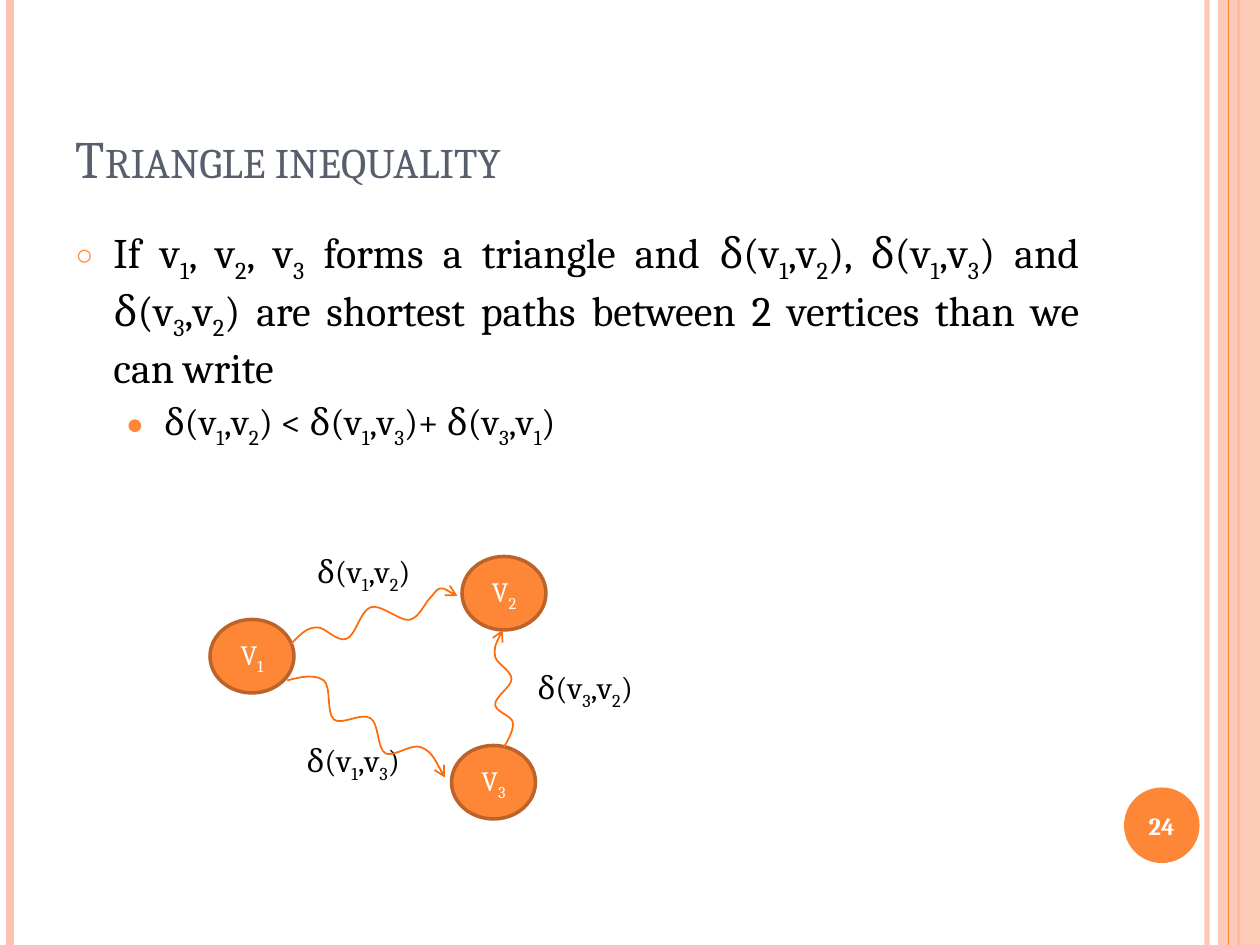
from dataclasses import dataclass

from lxml import etree
from pptx import Presentation
from pptx import util as u
from pptx.dml.color import RGBColor
from pptx.enum import shapes, text
from pptx.oxml.ns import qn

ORANGE = RGBColor(0xFE, 0x86, 0x37)
PEACH = RGBColor(0xFE, 0xC3, 0xAE)
RUST = RGBColor(0xBC, 0x63, 0x29)
PATH_ORANGE = RGBColor(0xFF, 0x6B, 0x0A)
SLATE = RGBColor(0x57, 0x5F, 0x6D)
BLACK = RGBColor(0, 0, 0)
WHITE = RGBColor(0xFF, 0xFF, 0xFF)
FONT = "Cambria"
CELL = u.Inches(1) / 12  # the slide is 120 columns by 90 rows
COLUMNS, ROWS = 120, 90


@dataclass
class Stripe:
    x: float  # inches
    color: RGBColor
    width: float
    opacity: int = 100


@dataclass
class Label:
    column: float
    row: float
    words: str


@dataclass
class Bullet:
    words: str
    level: int
    size: float
    indent: float
    symbol: str
    symbol_percent: int


STRIPES = [
    Stripe(9.58, PEACH, 3, 93),
    Stripe(0.08, PEACH, 4.5),
    Stripe(9.83, ORANGE, 1.5),
]
BAND_EDGE = Stripe(9.75, ORANGE, 0.75)
BULLETS = [
    Bullet("If v_1, v_2, v_3 forms a triangle and δ(v_1,v_2), δ(v_1,v_3) and δ(v_3,v_2) "
           "are shortest paths between 2 vertices than we can write", 0, 24, 0.3, "○", 70),
    Bullet("δ(v_1,v_2) < δ(v_1,v_3)+ δ(v_3,v_1)", 1, 21, 0.7, "●", 80),
]
VERTICES = [Label(20, 59, "V_1"), Label(44, 53, "V_2"), Label(43, 71, "V_3")]
DISTANCES = [
    Label(29, 52, "δ(v_1,v_2)"),
    Label(50, 63, "δ(v_3,v_2)"),
    Label(28, 70, "δ(v_1,v_3)"),
]
# Bezier points in hundredths of an inch: a start, then two handles and an end per segment
WAVES = [
    [(231, 511), (237, 505), (243, 498), (251, 498), (258, 497), (267, 510),
     (275, 507), (282, 505), (286, 485), (294, 482), (302, 479), (317, 493),
     (325, 492), (333, 490), (337, 479), (341, 475), (345, 471), (346, 468),
     (349, 467), (353, 467), (358, 470), (363, 473)],
    [(228, 540), (239, 537), (250, 535), (257, 540), (263, 545), (259, 566),
     (265, 571), (271, 576), (287, 565), (294, 570), (301, 574), (299, 594),
     (306, 598), (313, 601), (326, 590), (334, 593), (342, 596), (347, 606),
     (353, 617)],
    [(400, 593), (404, 586), (408, 579), (407, 573), (406, 568), (393, 565),
     (393, 559), (393, 553), (406, 545), (406, 539), (406, 532), (394, 527),
     (393, 521), (392, 514), (395, 507), (399, 500)],
]


def grid(*cells: float) -> list[int]:
    return [round(cell * CELL) for cell in cells]


def write(paragraph, words: str, size: float, color: RGBColor) -> None:
    """Fill a paragraph; the digit after each underscore is a subscript."""
    font = paragraph.font
    font.name, font.size, font.color.rgb = FONT, u.Pt(size), color
    first, *rest = words.split("_")
    paragraph.add_run().text = first
    for piece in rest:
        subscript = paragraph.add_run()
        subscript.text = piece[0]
        subscript.font._element.set("baseline", "-25000")
        if piece[1:]:
            paragraph.add_run().text = piece[1:]


def set_opacity(properties, percent: int) -> None:
    color = next(properties.iter(qn("a:srgbClr")))
    etree.SubElement(color, qn("a:alpha"), val=str(percent * 1000))


def add_stripe(slide, stripe: Stripe) -> None:
    x = u.Inches(stripe.x)
    line = slide.shapes.add_connector(
        shapes.MSO_CONNECTOR.STRAIGHT, x, 0, x, round(ROWS * CELL))
    line.line.color.rgb = stripe.color
    line.line.width = u.Pt(stripe.width)
    properties = line._element.spPr
    etree.SubElement(properties, qn("a:effectLst"))
    if stripe.opacity < 100:
        set_opacity(properties, stripe.opacity)


def add_filled(slide, kind, color: RGBColor, *cells: float):
    shape = slide.shapes.add_shape(kind, *grid(*cells))
    shape.shadow.inherit = False
    shape.fill.solid()
    shape.fill.fore_color.rgb = color
    shape.line.fill.background()
    return shape


def add_disc(slide, label: Label, width: float, height: float, size: float):
    disc = add_filled(slide, shapes.MSO_SHAPE.OVAL, ORANGE,
                      label.column, label.row, width, height)
    frame = disc.text_frame
    frame.margin_left = frame.margin_right = 0
    frame.vertical_anchor = text.MSO_ANCHOR.MIDDLE
    paragraph = frame.paragraphs[0]
    paragraph.alignment = text.PP_ALIGN.CENTER
    write(paragraph, label.words, size, WHITE)
    return disc


def add_vertex(slide, label: Label) -> None:
    vertex = add_disc(slide, label, 8, 7, 16)
    vertex.line.color.rgb = RUST
    vertex.line.width = u.Pt(2)


def add_distance(slide, label: Label) -> None:
    box = slide.shapes.add_textbox(*grid(label.column, label.row, 12.2, 4.8))
    box.text_frame.word_wrap = False
    write(box.text_frame.paragraphs[0], label.words, 18, BLACK)


def add_wave(slide, points: list[tuple[int, int]]) -> None:
    """Draw an arrow whose outline joins each three points into one curve."""
    builder = slide.shapes.build_freeform(*points[0], scale=u.Inches(0.01))
    builder.add_line_segments(points[1:], close=False)
    wave = builder.convert_to_shape()
    wave.shadow.inherit = False
    wave.fill.background()
    wave.line.color.rgb = PATH_ORANGE
    wave.line.width = u.Pt(1)
    properties = wave._element.spPr
    etree.SubElement(properties.find(qn("a:ln")), qn("a:tailEnd"), type="arrow")
    segments = list(properties.iter(qn("a:lnTo")))
    outline = segments[0].getparent()
    for start in range(0, len(segments), 3):
        curve = etree.SubElement(outline, qn("a:cubicBezTo"))
        for segment in segments[start:start + 3]:
            curve.append(segment[0])
            outline.remove(segment)


def fill_title(title) -> None:
    title.left, title.top, title.width, title.height = grid(6, 3.6, 98, 15)
    frame = title.text_frame
    frame.auto_size = text.MSO_AUTO_SIZE.NONE
    frame.vertical_anchor = text.MSO_ANCHOR.BOTTOM
    paragraph = frame.paragraphs[0]
    paragraph.alignment = text.PP_ALIGN.LEFT
    write(paragraph, "Triangle inequality", 30, SLATE)
    paragraph.runs[0].font._element.set("cap", "small")


def fill_body(body) -> None:
    body.left, body.top, body.width, body.height = grid(6, 21, 98, 64)
    frame = body.text_frame
    frame.auto_size = text.MSO_AUTO_SIZE.NONE
    for index, bullet in enumerate(BULLETS):
        paragraph = frame.add_paragraph() if index else frame.paragraphs[0]
        paragraph.level = bullet.level
        paragraph.alignment = text.PP_ALIGN.JUSTIFY
        if bullet.level == 0:
            paragraph.space_before = u.Pt(6)
        properties = paragraph._p.get_or_add_pPr()
        properties.set("marL", str(u.Inches(bullet.indent)))
        properties.set("indent", str(u.Inches(-0.3)))
        color = etree.SubElement(properties, qn("a:buClr"))
        etree.SubElement(color, qn("a:srgbClr"), val=str(ORANGE))
        etree.SubElement(properties, qn("a:buSzPct"), val=str(bullet.symbol_percent * 1000))
        etree.SubElement(properties, qn("a:buChar"), char=bullet.symbol)
        write(paragraph, bullet.words, bullet.size, BLACK)


def main() -> None:
    presentation = Presentation()
    presentation.slide_width, presentation.slide_height = grid(COLUMNS, ROWS)
    slide = presentation.slides.add_slide(presentation.slide_layouts[1])
    for stripe in STRIPES:
        add_stripe(slide, stripe)
    band = add_filled(slide, shapes.MSO_SHAPE.RECTANGLE, PEACH, 116, 0, 4, ROWS)
    set_opacity(band._element.spPr, 87)
    add_stripe(slide, BAND_EDGE)
    fill_title(slide.shapes.title)
    fill_body(slide.placeholders[1])
    for vertex in VERTICES:
        add_vertex(slide, vertex)
    for distance in DISTANCES:
        add_distance(slide, distance)
    for wave in WAVES:
        add_wave(slide, wave)
    page_number = add_disc(slide, Label(107.05, 75, "24"), 7.2, 7.2, 14)
    page_number.text_frame.paragraphs[0].font.bold = True
    presentation.save("out.pptx")


if __name__ == "__main__":
    main()
